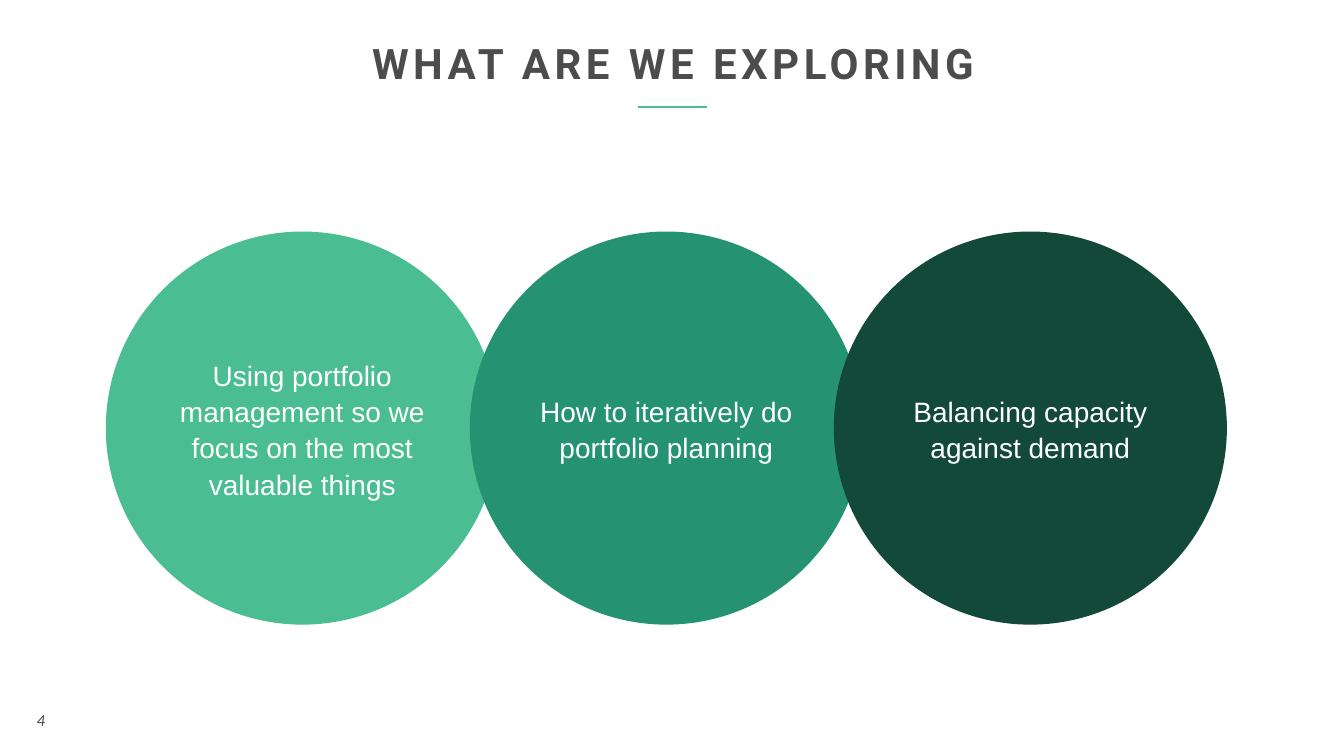
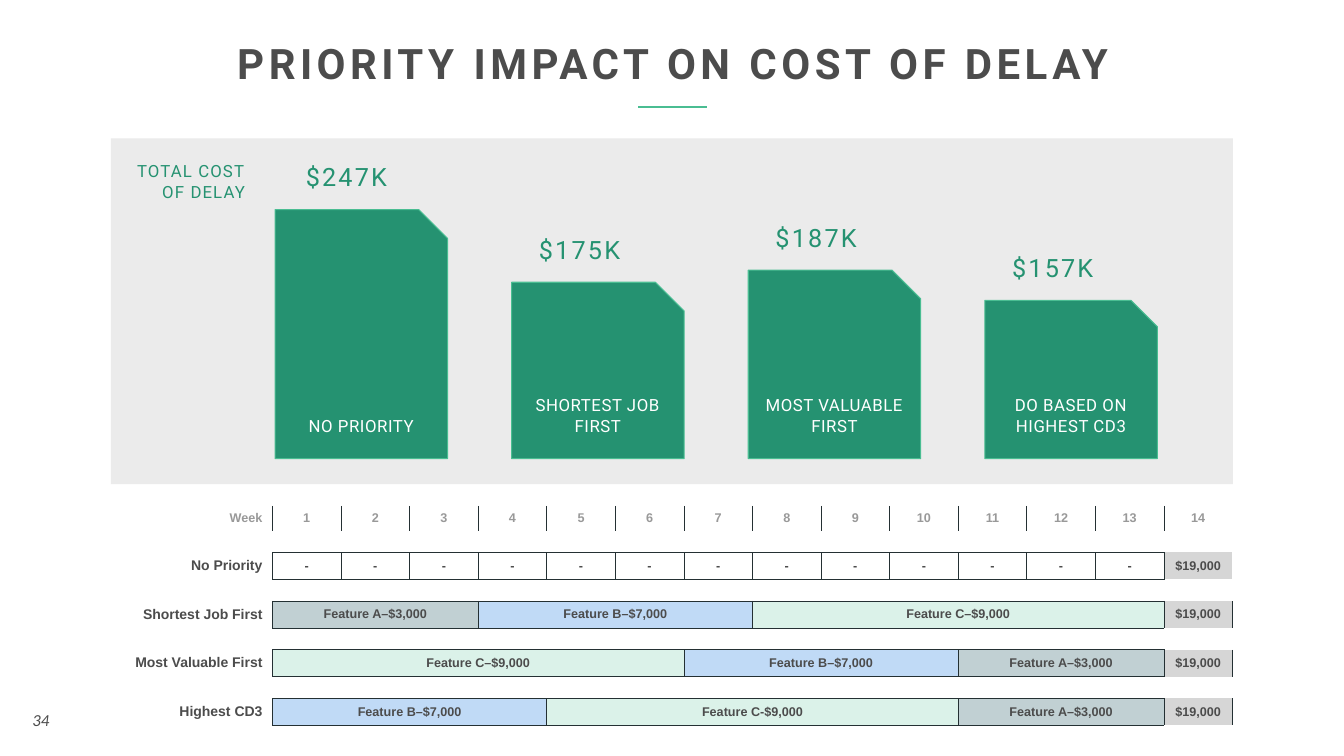
from lxml.etree import SubElement
from pptx import Presentation
from pptx.dml.color import RGBColor
from pptx.enum.shapes import MSO_CONNECTOR, MSO_SHAPE
from pptx.enum.text import MSO_ANCHOR, MSO_AUTO_SIZE, PP_ALIGN
from pptx.oxml.ns import qn
from pptx.util import Pt

WHITE = RGBColor(0xFF, 0xFF, 0xFF)
LIGHT_GREEN = RGBColor(0x4A, 0xBD, 0x92)
GREEN = RGBColor(0x25, 0x92, 0x71)
DARK_GREEN = RGBColor(0x13, 0x49, 0x38)
TEXT_GRAY = RGBColor(0x4C, 0x4C, 0x4C)
WEEK_GRAY = RGBColor(0x99, 0x99, 0x99)
PANEL_GRAY = RGBColor(0xEB, 0xEB, 0xEB)
COST_GRAY = RGBColor(0xD6, 0xD6, 0xD6)
BORDER = RGBColor(0x24, 0x30, 0x33)
FEATURE_A = RGBColor(0xC1, 0xD0, 0xD3)
FEATURE_B = RGBColor(0xC0, 0xDA, 0xF6)
FEATURE_C = RGBColor(0xDB, 0xF2, 0xE9)

# Text formats: font attributes, plus letter spacing in hundredths of a point
TITLE = {"name": "Roboto", "size": Pt(30), "bold": True, "color": TEXT_GRAY, "spacing": 320}
NUMBER = {"name": "Calibri", "size": Pt(12), "italic": True, "color": TEXT_GRAY}
CIRCLE = {"name": "Arial", "size": Pt(20), "color": WHITE}
CAPTION = {"name": "Roboto", "size": Pt(12), "color": WHITE, "spacing": 40}
TOTAL = {"name": "Roboto", "size": Pt(12), "color": GREEN, "spacing": 80}
AMOUNT = {"name": "Roboto", "size": Pt(18), "color": GREEN, "spacing": 160}
CELL = {"name": "Arial", "size": Pt(9), "bold": True, "color": TEXT_GRAY}
ROW_LABEL = {**CELL, "size": Pt(10)}
WEEK = {**CELL, "color": WEEK_GRAY}


def write_text(frame, text, format_values, align=PP_ALIGN.CENTER,
               anchor=MSO_ANCHOR.MIDDLE, line_spacing=None):
    frame.word_wrap = True
    frame.auto_size = MSO_AUTO_SIZE.NONE
    frame.vertical_anchor = anchor
    paragraph = frame.paragraphs[0]
    paragraph.alignment = align
    paragraph.line_spacing = line_spacing
    run = paragraph.add_run()
    run.text = text
    for name, value in format_values.items():
        if name == "color":
            run.font.color.rgb = value
        elif name == "spacing":
            run._r.get_or_add_rPr().set("spc", str(value))
        else:
            setattr(run.font, name, value)


def format_cell(cell, fill, sides=()):
    cell.margin_top = cell.margin_bottom = 0
    cell.margin_left = cell.margin_right = Pt(2)
    cell.vertical_anchor = MSO_ANCHOR.MIDDLE
    properties = cell._tc.get_or_add_tcPr()
    for side in sides:
        line = SubElement(properties, qn(f"a:ln{side}"), w=str(Pt(0.5)))
        solid = SubElement(line, qn("a:solidFill"))
        SubElement(solid, qn("a:srgbClr"), val=str(BORDER))
    cell.fill.solid()
    cell.fill.fore_color.rgb = fill


presentation = Presentation()
presentation.slide_width, presentation.slide_height = Pt(960), Pt(540)

# Title, rule and page number of every slide
slides = []
for title, number in (("WHAT ARE WE EXPLORING", "4"),
                      ("PRIORITY IMPACT ON COST OF DELAY", "34")):
    slide = presentation.slides.add_slide(presentation.slide_layouts[5])
    slides.append(slide)
    shape = slide.shapes.title
    shape.left, shape.top, shape.width, shape.height = Pt(85.7), Pt(15.8), Pt(790.6), Pt(47.5)
    shape.text_frame.margin_top = shape.text_frame.margin_bottom = 0
    write_text(shape.text_frame, title, TITLE, anchor=MSO_ANCHOR.BOTTOM, line_spacing=0.9)

    rule = slide.shapes.add_connector(MSO_CONNECTOR.STRAIGHT,
                                      Pt(455.8), Pt(76.3), Pt(504.7), Pt(76.3))
    rule.line.color.rgb = LIGHT_GREEN
    rule.line.width = Pt(1.5)
    SubElement(rule._element.spPr, qn("a:effectLst"))

    box = slide.shapes.add_textbox(Pt(7.2), Pt(499.7), Pt(44), Pt(28.8))
    write_text(box.text_frame, number, NUMBER)

topics_slide, cost_slide = slides

# Slide 1: overlapping topic circles
topics = (
    ("Using portfolio management so we focus on the most valuable things", LIGHT_GREEN),
    ("How to iteratively do portfolio planning", GREEN),
    ("Balancing capacity against demand", DARK_GREEN),
)
for index, (topic, color) in enumerate(topics):
    circle = topics_slide.shapes.add_shape(
        MSO_SHAPE.OVAL, Pt(75.6 + 260 * index), Pt(165.4), Pt(280.8), Pt(280.8))
    circle.shadow.inherit = False
    circle.fill.solid()
    circle.fill.fore_color.rgb = color
    circle.line.fill.background()
    write_text(circle.text_frame, topic, CIRCLE, line_spacing=1.08)

# Slide 2: panel with the total cost of delay
panel = cost_slide.shapes.add_shape(
    MSO_SHAPE.RECTANGLE, Pt(79.2), Pt(98.8), Pt(801.4), Pt(247))
panel.shadow.inherit = False
panel.fill.solid()
panel.fill.fore_color.rgb = PANEL_GRAY
panel.line.fill.background()
box = cost_slide.shapes.add_textbox(Pt(85.7), Pt(111.6), Pt(96.5), Pt(36))
write_text(box.text_frame, "TOTAL COST OF DELAY", TOTAL, PP_ALIGN.RIGHT, MSO_ANCHOR.TOP)

# Bars: one thousand dollars is 0.72 points high
BAR_BOTTOM, BAR_WIDTH = 327.6, 123.2
strategies = (
    ("NO PRIORITY", 247, 102),
    ("SHORTEST JOB FIRST", 175, 97),
    ("MOST VALUABLE FIRST", 187, 97),
    ("DO BASED ON HIGHEST CD3", 157, 97),
)
for index, (caption, cost, amount_width) in enumerate(strategies):
    left = 196.5 + 169 * index
    height = cost * 0.72
    top = BAR_BOTTOM - height
    bar = cost_slide.shapes.add_shape(
        MSO_SHAPE.SNIP_1_RECTANGLE, Pt(left), Pt(top), Pt(BAR_WIDTH), Pt(height))
    bar.shadow.inherit = False
    bar.fill.solid()
    bar.fill.fore_color.rgb = GREEN
    bar.line.color.rgb = LIGHT_GREEN
    bar.line.width = Pt(0.75)

    box = cost_slide.shapes.add_textbox(Pt(left), Pt(278.6), Pt(BAR_WIDTH), Pt(36))
    write_text(box.text_frame, caption, CAPTION, anchor=MSO_ANCHOR.BOTTOM)
    box = cost_slide.shapes.add_textbox(Pt(left), Pt(top - 37.8), Pt(amount_width), Pt(29))
    write_text(box.text_frame, f"${cost}K", AMOUNT, anchor=MSO_ANCHOR.TOP)

# Schedule table: week row, then a gap row before each strategy
schedule = (
    ("No Priority", [("-", 1, WHITE)] * 13),
    ("Shortest Job First", [("Feature A–$3,000", 3, FEATURE_A),
                            ("Feature B–$7,000", 4, FEATURE_B),
                            ("Feature C–$9,000", 6, FEATURE_C)]),
    ("Most Valuable First", [("Feature C–$9,000", 6, FEATURE_C),
                             ("Feature B–$7,000", 4, FEATURE_B),
                             ("Feature A–$3,000", 3, FEATURE_A)]),
    ("Highest CD3", [("Feature B–$7,000", 4, FEATURE_B),
                     ("Feature C-$9,000", 6, FEATURE_C),
                     ("Feature A–$3,000", 3, FEATURE_A)]),
)
table = cost_slide.shapes.add_table(
    9, 15, Pt(79.2), Pt(361.4), Pt(801.4), Pt(156.8)).table
table.first_row = table.horz_banding = False
table._tbl.tblPr.find(qn("a:tableStyleId")).text = "{2D5ABB26-0587-4C30-8999-92F81FD0307C}"
for index, column in enumerate(table.columns):
    column.width = Pt(49) if index else Pt(115.4)
for index, row in enumerate(table.rows):
    row.height = Pt(17.6) if index == 0 else Pt(15.7 if index % 2 else 19.1)

# Week row
for column in range(15):
    cell = table.cell(0, column)
    format_cell(cell, WHITE, "L" if column else "")
    write_text(cell.text_frame, str(column) if column else "Week", WEEK,
               PP_ALIGN.CENTER if column else PP_ALIGN.RIGHT)
table.cell(0, 0).margin_right = Pt(7.2)

for index, (strategy, features) in enumerate(schedule):
    # Gap row, with small type so that it stays low
    for column in range(15):
        cell = table.cell(2 * index + 1, column)
        format_cell(cell, WHITE)
        SubElement(cell.text_frame.paragraphs[0]._p, qn("a:endParaRPr"), sz="900")

    # Strategy row
    row = 2 * index + 2
    label = table.cell(row, 0)
    format_cell(label, WHITE)
    label.margin_right = Pt(7.2)
    write_text(label.text_frame, strategy, ROW_LABEL, PP_ALIGN.RIGHT)
    column = 1
    for feature, weeks, color in features:
        cell = table.cell(row, column)
        for week in range(column, column + weeks):
            format_cell(table.cell(row, week), color, "LRTB")
        if weeks > 1:
            cell.merge(table.cell(row, column + weeks - 1))
        write_text(cell.text_frame, feature, CELL)
        column += weeks
    cost_cell = table.cell(row, 14)
    format_cell(cost_cell, COST_GRAY, "L")
    write_text(cost_cell.text_frame, "$19,000", CELL)

presentation.save("out.pptx")
